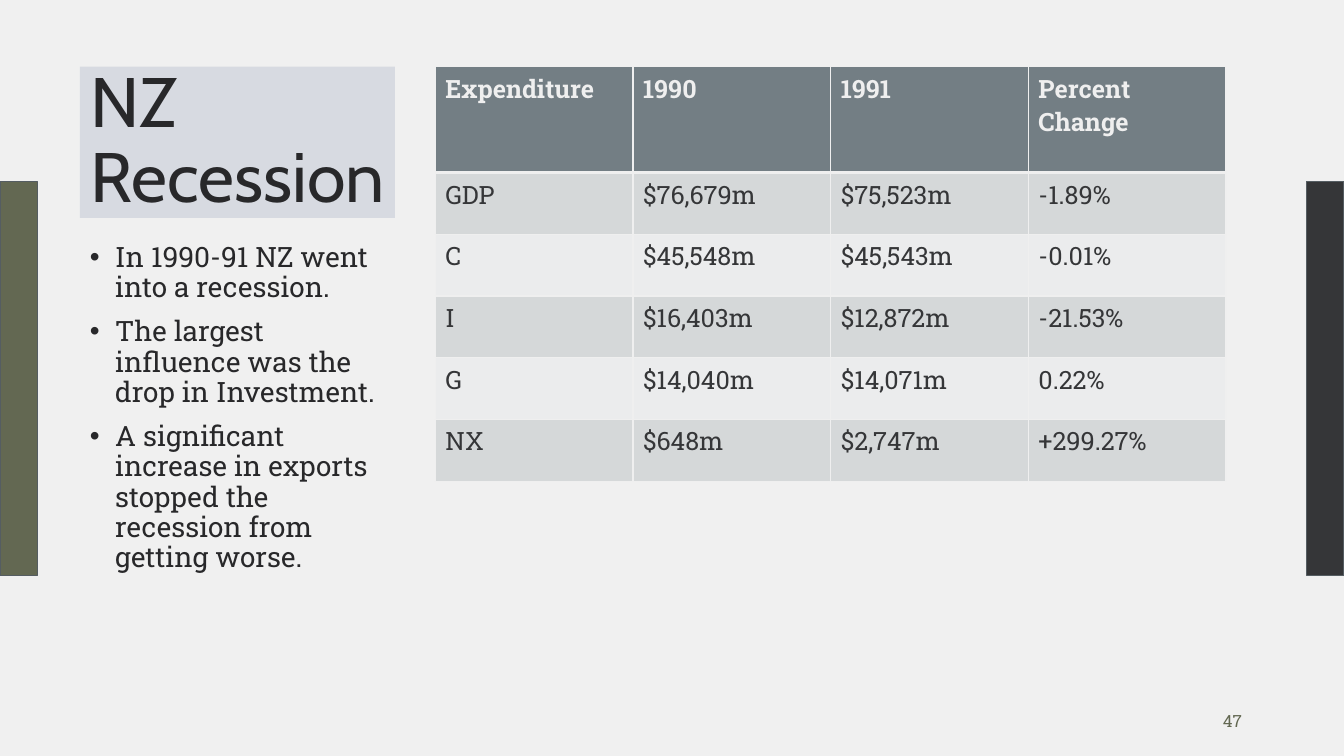
from pptx import Presentation
from pptx.dml.color import RGBColor
from pptx.enum.shapes import MSO_SHAPE
from pptx.enum.text import MSO_ANCHOR, MSO_AUTO_SIZE, PP_ALIGN
from pptx.oxml.ns import qn
from pptx.util import Cm, Pt
from lxml import etree

RECTANGLE = MSO_SHAPE.RECTANGLE
TOP, MIDDLE = MSO_ANCHOR.TOP, MSO_ANCHOR.MIDDLE
LEFT, RIGHT = PP_ALIGN.LEFT, PP_ALIGN.RIGHT
NO_AUTOFIT = MSO_AUTO_SIZE.NONE

PAGE_WIDTH, PAGE_HEIGHT = 33.87, 19.05
HEADING_FONT, BODY_FONT = "Cabin", "Roboto Slab"
INK, OLIVE, CHARCOAL, PALE = "28282A", "636852", "353638", "EFEFEF"
HEADER_FILL = "737E84"
BAND_FILLS = ("D5D8D9", "EBECED")

BULLETS = (
    "In 1990-91 NZ went into a recession.",
    "The largest influence was the drop in Investment.",
    "A significant increase in exports stopped the recession from getting worse.",
)
EXPENDITURE = (
    ("Expenditure", "1990", "1991", "Percent Change"),
    ("GDP", "$76,679m", "$75,523m", "-1.89%"),
    ("C", "$45,548m", "$45,543m", "-0.01%"),
    ("I", "$16,403m", "$12,872m", "-21.53%"),
    ("G", "$14,040m", "$14,071m", "0.22%"),
    ("NX", "$648m", "$2,747m", "+299.27%"),
)


def color(value):
    return RGBColor.from_string(value)


def fill(target, value):
    target.fill.solid()
    target.fill.fore_color.rgb = color(value)


def format_runs(para, font, size, ink, bold=False):
    for span in para.runs:
        span.font.name = font
        span.font.size = Pt(size)
        span.font.color.rgb = color(ink)
        span.font.bold = bold


def place(shape, box):
    shape.left, shape.top, shape.width, shape.height = (Cm(length) for length in box)


def prepare_frame(shape, anchor):
    frame = shape.text_frame
    frame.word_wrap = True
    frame.auto_size = NO_AUTOFIT
    frame.vertical_anchor = anchor
    return frame


def add_side_bar(page, box, bar_fill):
    bar = page.shapes.add_shape(RECTANGLE, *(Cm(length) for length in box))
    bar.shadow.inherit = False
    fill(bar, bar_fill)
    bar.line.color.rgb = color("555D62")
    bar.line.width = Pt(1)


def set_title(page, box):
    title = page.shapes.title
    place(title, box)
    fill(title, "D7DAE1")
    frame = prepare_frame(title, MIDDLE)
    frame.margin_left, frame.margin_right = Cm(0.27), Cm(0)
    para = frame.paragraphs[0]
    para.text = "NZ Recession"
    para.alignment = LEFT
    para.line_spacing = 0.9
    format_runs(para, HEADING_FONT, 50, INK)


def set_bullets(page, box):
    body = page.placeholders[1]
    place(body, box)
    frame = prepare_frame(body, TOP)
    frame.text = "\n".join(BULLETS)
    for index, para in enumerate(frame.paragraphs):
        para.line_spacing = 0.9
        para.space_before = Pt(10 if index else 0)
        properties = para._p.get_or_add_pPr()
        properties.set("marL", str(Cm(0.64)))
        properties.set("indent", str(Cm(-0.64)))
        etree.SubElement(properties, qn("a:buFont"), typeface="Arial")
        etree.SubElement(properties, qn("a:buChar"), char="•")
        format_runs(para, BODY_FONT, 20, INK)


def set_borders(cell, row):
    """Draw thin pale borders, with a thick one below the header row."""
    widths = {"lnL": 1, "lnR": 1, "lnT": 3 if row == 1 else 1, "lnB": 3 if row == 0 else 1}
    properties = cell._tc.get_or_add_tcPr()
    for side, width in widths.items():
        border = etree.SubElement(properties, qn(f"a:{side}"), w=str(Pt(width)))
        paint = etree.SubElement(border, qn("a:solidFill"))
        etree.SubElement(paint, qn("a:srgbClr"), val=PALE)


def add_expenditure_table(page, box, header_height):
    height = box[3]
    row_count, column_count = len(EXPENDITURE), len(EXPENDITURE[0])
    table = page.shapes.add_table(
        row_count, column_count, *(Cm(length) for length in box)
    ).table
    band_height = (height - header_height) / (row_count - 1)
    for row, values in enumerate(EXPENDITURE):
        is_header = row == 0
        table.rows[row].height = Cm(header_height if is_header else band_height)
        for column, value in enumerate(values):
            cell = table.cell(row, column)
            cell.text = value
            set_borders(cell, row)
            fill(cell, HEADER_FILL if is_header else BAND_FILLS[(row - 1) % 2])
            format_runs(cell.text_frame.paragraphs[0], BODY_FONT, 18,
                        PALE if is_header else CHARCOAL, bold=is_header)


def add_page_number(page, box):
    number = page.shapes.add_textbox(*(Cm(length) for length in box))
    para = prepare_frame(number, MIDDLE).paragraphs[0]
    para.text = "47"
    para.alignment = RIGHT
    format_runs(para, BODY_FONT, 12, OLIVE)


def build_recession_slide(deck):
    page = deck.slides.add_slide(deck.slide_layouts[1])
    fill(page.background, "F0F0F0")
    bar_top, bar_width, bar_height = 4.57, 0.94, 9.93
    add_side_bar(page, (PAGE_WIDTH - bar_width, bar_top, bar_width, bar_height), CHARCOAL)
    add_side_bar(page, (0, bar_top, bar_width, bar_height), OLIVE)
    margin, top, text_width = 2.01, 1.68, 7.94
    set_title(page, (margin, top, text_width, 3.81))
    set_bullets(page, (margin, 6, text_width, 9.53))
    add_expenditure_table(page, (10.97, top, 19.93, 10.45), header_height=2.67)
    add_page_number(page, (23.93, 17.65, 7.62, 1.02))


def main():
    deck = Presentation()
    deck.slide_width, deck.slide_height = Cm(PAGE_WIDTH), Cm(PAGE_HEIGHT)
    build_recession_slide(deck)
    deck.save("out.pptx")


if __name__ == "__main__":
    main()
